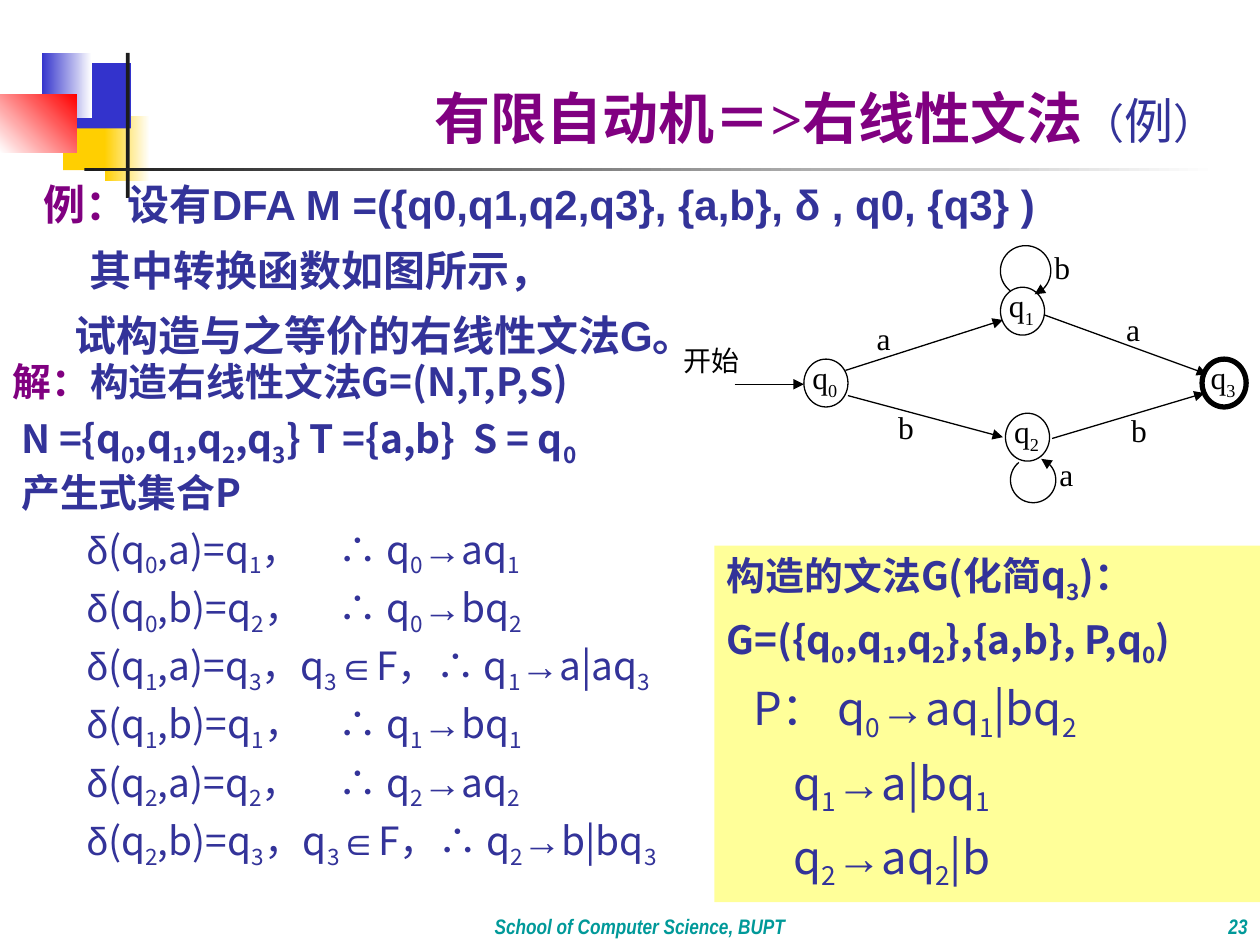
import itertools
import math

import pptx
import pptx.chart.data
import pptx.dml.color
import pptx.enum.dml
import pptx.enum.shapes
import pptx.enum.text
import pptx.oxml.ns
import pptx.util
from lxml import etree

Inches, Pt = pptx.util.Inches, pptx.util.Pt
ALIGN = pptx.enum.text.PP_ALIGN
ANCHOR = pptx.enum.text.MSO_ANCHOR
SHAPE = pptx.enum.shapes.MSO_SHAPE
SANS, SERIF, NARROW, CJK = "Arial", "Times New Roman", "Arial Narrow", "Noto Sans CJK SC"
INDIGO, PURPLE, BLACK, TEAL = "333399", "800080", "000000", "009999"
SYMBOLS = "δ∴→∈"

DECORATION = [
    ((0.5, 0.83, 0.48, 0.52), ["FFCF01"], 0),
    ((0.83, 0.92, 0.36, 0.52), ["FFCF01", "FFFFFF"], 0),
    ((0.58, 0.5, 0.46, 0.52), ["3333CC"], 0),
    ((0.33, 0.42, 0.4, 0.52), ["3333CC", "FFFFFF"], 0),
    ((0, 0.75, 0.61, 0.46), ["FFFFFF", "FF0000"], 45),
    ((1, 0.42, 0.03, 1.15), ["1C1C1C"], 0),
    ((0.67, 1.33, 9, 0.03), ["1C1C1C", "FFFFFF"], 0),
]
TITLE = [("有限自动机＝>右线性文法", 32, SERIF, PURPLE, True), ("（", 24, SANS, INDIGO, False),
         ("例", 28, SANS, INDIGO, False), ("）", 24, SANS, INDIGO, False)]
PROBLEM = [("例：", "设有DFA M =({q0,q1,q2,q3}, {a,b}, δ , q0, {q3} )", 0),
           ("", "其中转换函数如图所示，", 0.36),
           ("", "试构造与之等价的右线性文法G。", 0.24)]
SOLUTION = [("解：", "构造右线性文法G=(N,T,P,S)", 0),
            ("", "N ={q0,q1,q2,q3} T ={a,b}  S = q0", 0.07),
            ("", "产生式集合P", 0.07)]
DERIVATIONS = ["δ(q0,a)=q1，\t∴ q0→aq1", "δ(q0,b)=q2，\t∴ q0→bq2",
               "δ(q1,a)=q3，q3∈F，∴ q1→a|aq3", "δ(q1,b)=q1，\t∴ q1→bq1",
               "δ(q2,a)=q2，\t∴ q2→aq2", "δ(q2,b)=q3，q3∈F，∴ q2→b|bq3"]
GRAMMAR = ["构造的文法G(化简q3)：", "G=({q0,q1,q2},{a,b}, P,q0)"]
RULES = [("P： q0→aq1|bq2", 0.21), ("q1→a|bq1", 0.53), ("q2→aq2|b", 0.53)]
STATES = [("q0", 6.38, 2.85, 0.75), ("q1", 7.94, 2.28, 0.75),
          ("q2", 7.98, 3.28, 0.75), ("q3", 9.54, 2.85, 3)]
ARROWS = [(5.83, 3.05, 6.38, 3.05), (6.73, 3.14, 7.96, 3.47), (6.71, 2.94, 7.96, 2.54),
          (8.29, 2.5, 9.58, 2.97), (8.35, 3.48, 9.56, 3.12)]
LOOPS = [(8.2, 3.81, 0.18, 231, -69), (8.14, 2.15, 0.2, 128, 429)]
LABELS = [("a", 6.86, 2.48), ("a", 8.84, 2.41), ("a", 8.31, 3.56),
          ("b", 7.03, 3.19), ("b", 8.88, 3.21), ("b", 8.27, 1.92)]


def color(value):
    return pptx.dml.color.RGBColor.from_string(value)


def style(font, size=None, name=None, fill=None, bold=None):
    if size:
        font.size = Pt(size)
    if name:
        font.name = name
    if fill:
        font.color.rgb = color(fill)
    if bold is not None:
        font.bold = bold


def add_shape(page, kind, at, fills, angle=0, width=0):
    shape = page.shapes.add_shape(kind, *map(Inches, at))
    shape.shadow.inherit = False
    if len(fills) == 1:
        shape.fill.solid()
        shape.fill.fore_color.rgb = color(fills[0])
    else:
        shape.fill.gradient()
        shape.fill.gradient_angle = angle
        for stop, value in zip(shape.fill.gradient_stops, fills):
            stop.color.rgb = color(value)
    if width:
        shape.line.color.rgb = color(BLACK)
        shape.line.width = Pt(width)
    else:
        shape.line.fill.background()
    return shape


def add_box(page, at, wrap=True, anchor=ANCHOR.TOP):
    frame = page.shapes.add_textbox(*map(Inches, at)).text_frame
    frame.word_wrap = wrap
    frame.vertical_anchor = anchor
    return frame


def add_paragraph(frame, margin=0, hanging=0, spacing=1.0, before=0, align=ALIGN.LEFT, tab=None):
    first = not frame.paragraphs[0].runs
    para = frame.paragraphs[0] if first else frame.add_paragraph()
    para.alignment = align
    para.line_spacing = spacing
    para.space_before = Pt(0 if first else before)
    properties = para._p.get_or_add_pPr()
    properties.set("marL", str(Inches(margin)))
    properties.set("indent", str(Inches(hanging)))
    if tab:
        stops = etree.SubElement(properties, pptx.oxml.ns.qn("a:tabLst"))
        etree.SubElement(stops, pptx.oxml.ns.qn("a:tab"), pos=str(Inches(tab)), algn="l")
    return para


def add_formula(para, text):
    """Add text with the digit after each q lowered and the symbols in the sans font."""
    marked = [(char, char.isdigit() and before == "q", char in SYMBOLS)
              for before, char in zip(" " + text, text)]
    for (lowered, symbol), group in itertools.groupby(marked, key=lambda item: item[1:]):
        span = para.add_run()
        span.text = "".join(item[0] for item in group)
        if lowered:
            span.font._element.set("baseline", "-25000")
        if symbol:
            span.font.name = SANS


def add_lead(para, text):
    if text:
        span = para.add_run()
        span.text = text
        style(span.font, name=SANS, fill=PURPLE)


def add_arrowhead(shape):
    shape.line.color.rgb = color(BLACK)
    shape.line.width = Pt(0.75)
    etree.SubElement(shape.line._get_or_add_ln(), pptx.oxml.ns.qn("a:tailEnd"), type="triangle")


def add_label(page, text, at, size=18):
    para = add_paragraph(add_box(page, at))
    style(para.font, size, SERIF, BLACK)
    add_formula(para, text)


def add_footer(page, text, at, align):
    para = add_paragraph(add_box(page, at, anchor=ANCHOR.BOTTOM), align=align)
    style(para.font, 12, NARROW, TEAL, True)
    para.font.italic = True
    para.add_run().text = text


def add_title(page):
    title = page.shapes.title
    title.left, title.top, title.width, title.height = map(Inches, (1, 0.33, 8.75, 0.92))
    title.text_frame.vertical_anchor = ANCHOR.BOTTOM
    para = add_paragraph(title.text_frame, spacing=0.9, align=ALIGN.RIGHT)
    for text, *look in TITLE:
        span = para.add_run()
        span.text = text
        style(span.font, *look)


def add_texts(page):
    frame = add_box(page, (0.25, 1.25, 9.25, 1.66))
    for lead, text, margin in PROBLEM:
        para = add_paragraph(frame, margin, spacing=1.3)
        style(para.font, 24, SANS, INDIGO, True)
        add_lead(para, lead)
        para.add_run().text = text
    frame = add_box(page, (0, 2.83, 5.67, 4.42))
    for lead, text, margin in SOLUTION:
        para = add_paragraph(frame, margin, spacing=0.9, before=6)
        style(para.font, 22.2, CJK, INDIGO, True)
        add_lead(para, lead)
        add_formula(para, text)
    for text in DERIVATIONS:
        para = add_paragraph(frame, 0.59, spacing=0.9, before=6, tab=2.8)
        style(para.font, 22.2, CJK, INDIGO, False)
        add_formula(para, text)


def add_automaton(page):
    for name, left, top, width in STATES:
        add_shape(page, SHAPE.OVAL, (left, top, 0.35, 0.38), ["FFFFFF"], width=width)
        add_label(page, name, (left - 0.03, top - 0.06, 0.5, 0.47))
    for ends in ARROWS:
        arrow = page.shapes.add_connector(pptx.enum.shapes.MSO_CONNECTOR.STRAIGHT, *map(Inches, ends))
        add_arrowhead(arrow)
        etree.SubElement(arrow._element.spPr, pptx.oxml.ns.qn("a:effectLst"))
    for x, y, radius, start, end in LOOPS:
        angles = [math.radians(start + (end - start) * step / 40) for step in range(41)]
        points = [(Inches(x + radius * math.cos(a)), Inches(y + radius * math.sin(a))) for a in angles]
        builder = page.shapes.build_freeform(*points[0])
        builder.add_line_segments(points[1:], close=False)
        loop = builder.convert_to_shape()
        loop.shadow.inherit = False
        loop.fill.background()
        add_arrowhead(loop)
    for text, left, top in LABELS:
        add_label(page, text, (left, top, 0.46, 0.46))
    add_label(page, "开始", (5.33, 2.68, 0.98, 0.57), 16)


def add_grammar(page):
    frame = add_shape(page, SHAPE.RECTANGLE, (5.67, 4.33, 4.33, 2.83), ["FFFF99"]).text_frame
    frame.vertical_anchor = ANCHOR.TOP
    lines = [(text, 0, 22.2, 6, True) for text in GRAMMAR]
    lines += [(text, margin, 25.9, 7, False) for text, margin in RULES]
    for text, margin, size, before, bold in lines:
        para = add_paragraph(frame, margin, before=before)
        style(para.font, size, CJK, INDIGO, bold)
        add_formula(para, text)


def main():
    deck = pptx.Presentation()
    deck.slide_width, deck.slide_height = Inches(10), Inches(7.5)
    page = deck.slides.add_slide(deck.slide_layouts[5])
    for at, fills, angle in DECORATION:
        add_shape(page, SHAPE.RECTANGLE, at, fills, angle)
    add_footer(page, "23", (8.33, 7, 1.67, 0.5), ALIGN.RIGHT)
    add_footer(page, "School of Computer Science, BUPT", (1.58, 7, 7, 0.5), ALIGN.CENTER)
    add_title(page)
    add_texts(page)
    add_automaton(page)
    add_grammar(page)
    deck.save("out.pptx")


if __name__ == "__main__":
    main()
